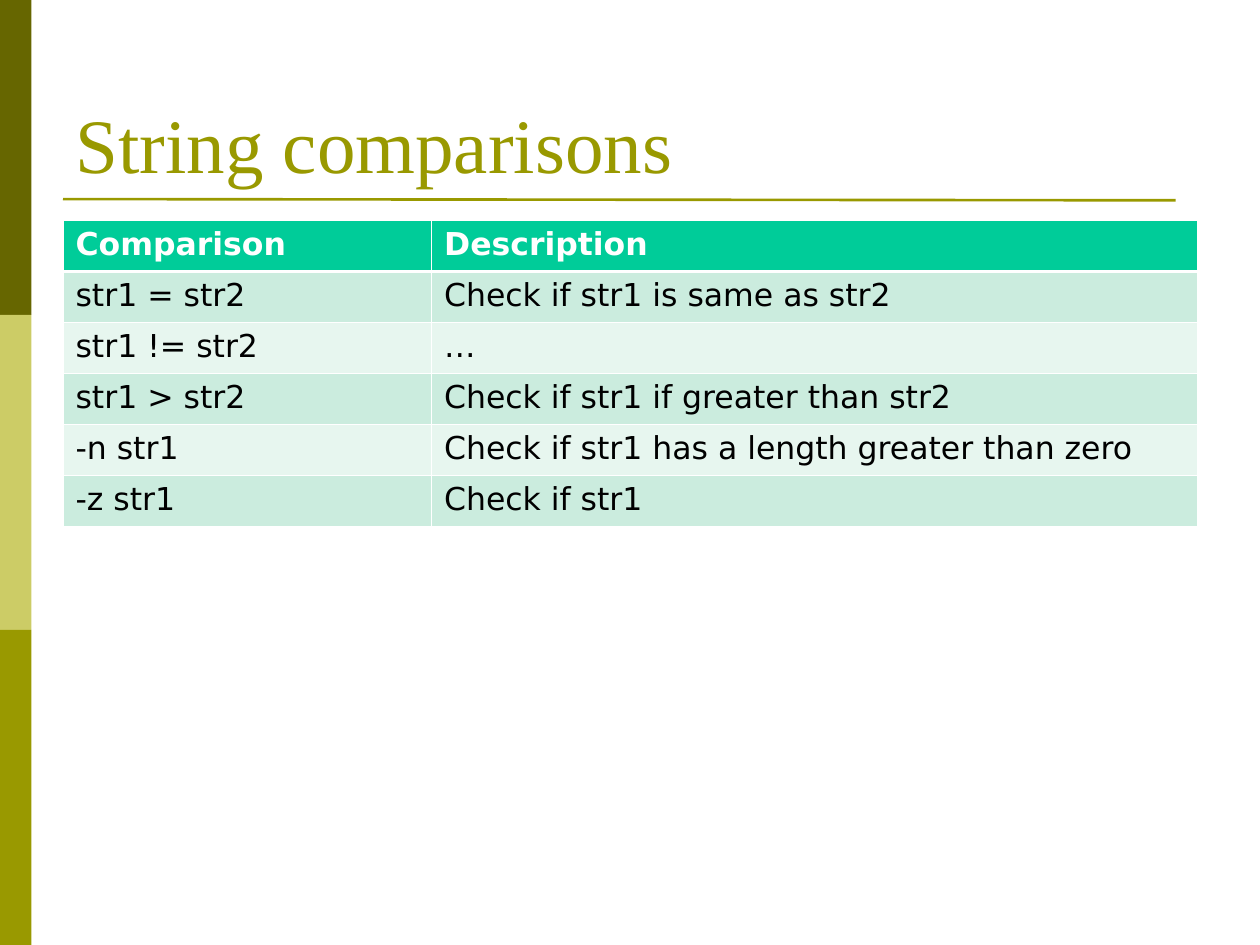
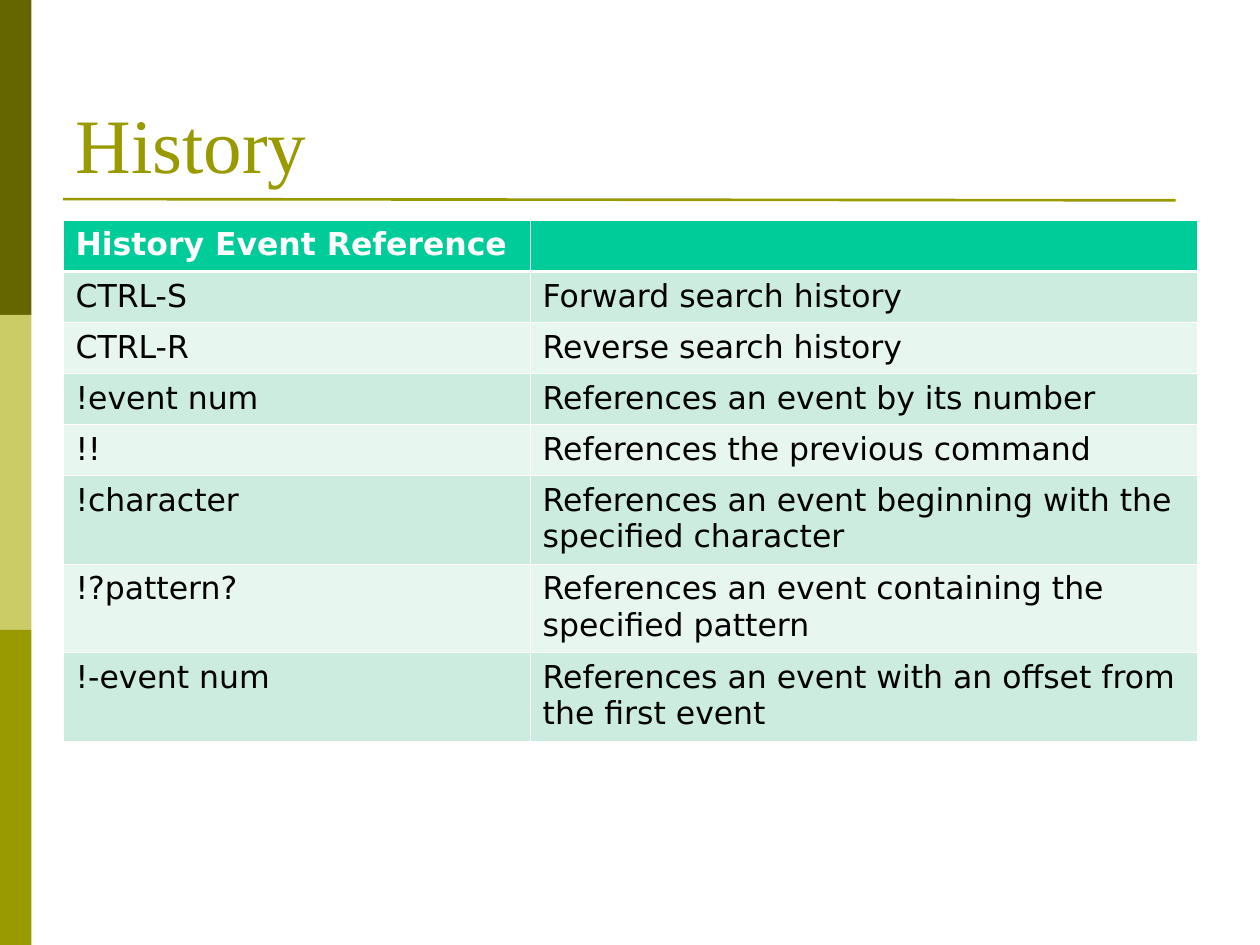
from dataclasses import dataclass

from pptx import Presentation as Deck
from pptx.dml.color import RGBColor as Rgb
from pptx.enum.shapes import MSO_CONNECTOR as Link, MSO_SHAPE as Shape
from pptx.enum.text import MSO_ANCHOR as Anchor, MSO_AUTO_SIZE as Fit, PP_ALIGN as Align
from pptx.oxml.ns import qn
from pptx.util import Inches, Pt
from lxml.etree import SubElement as Sub


@dataclass(frozen=True)
class Theme:
    # Colours
    bands: tuple = ("666600", "CCCC66", "999900")
    title: str = "999900"
    head: str = "00CC99"
    odd: str = "CBECDE"
    even: str = "E7F6EF"
    light: str = "FFFFFF"
    dark: str = "000000"
    # Type
    serif: str = "Times New Roman"
    sans: str = "DejaVu Sans"
    big: int = 44
    body: int = 18
    # Line widths in points
    rule: float = 1.5
    thin: float = 0.45
    thick: float = 1.47


class Page:
    COLS, ROWS = 40, 30
    LEFT, WIDE = 2, 36          # main block, in columns
    TOP = 7                     # top row of the tables
    LINE, STEP = 1.62, 1.19     # height of one text line, and each further one

    def __init__(self, deck, theme):
        self.deck, self.theme = deck, theme
        self.slide = None

    def x(self, cols):
        return round(self.deck.slide_width * cols / self.COLS)

    def y(self, rows):
        return round(self.deck.slide_height * rows / self.ROWS)

    def start(self, title):
        self.slide = self.deck.slides.add_slide(self.deck.slide_layouts[5])
        self.bands()
        self.rule()
        self.title(title)

    def style(self, para, font, size, tint, bold=False):
        para.alignment = Align.LEFT
        for run in para.runs:
            run.font.name, run.font.size, run.font.bold = font, Pt(size), bold
            run.font.color.rgb = Rgb.from_string(tint)

    def bands(self):
        high = self.ROWS / len(self.theme.bands)
        for i, tint in enumerate(self.theme.bands):
            band = self.slide.shapes.add_shape(
                Shape.RECTANGLE, 0, self.y(i * high), self.x(1), self.y(high))
            band.shadow.inherit = False
            band.fill.solid()
            band.fill.fore_color.rgb = Rgb.from_string(tint)
            band.line.fill.background()

    def rule(self):
        line = self.slide.shapes.add_connector(
            Link.STRAIGHT, self.x(self.LEFT), self.y(6.32), self.x(37.32), self.y(6.36))
        line.line.color.rgb = Rgb.from_string(self.theme.title)
        line.line.width = Pt(self.theme.rule)
        Sub(line.element.spPr, qn("a:effectLst"))

    def title(self, text):
        box = self.slide.shapes.title
        box.left, box.top = self.x(self.LEFT), self.y(-0.08)
        box.width, box.height = self.x(self.WIDE), self.y(6.28)
        frame = box.text_frame
        frame.text = text
        frame.word_wrap, frame.auto_size = True, Fit.NONE
        frame.vertical_anchor = Anchor.BOTTOM
        self.style(frame.paragraphs[0], self.theme.serif, self.theme.big, self.theme.title)

    def edges(self, cell, row):
        # Only the line under the header is thick
        thick = {"T": row == 1, "B": row == 0}
        for side in "LRTB":
            width = self.theme.thick if thick.get(side) else self.theme.thin
            line = Sub(cell._tc.get_or_add_tcPr(), qn(f"a:ln{side}"), w=str(int(Pt(width))))
            Sub(Sub(line, qn("a:solidFill")), qn("a:srgbClr"), val=self.theme.light)

    def cell(self, cell, row, text):
        theme, head = self.theme, row == 0
        self.edges(cell, row)
        cell.fill.solid()
        cell.fill.fore_color.rgb = Rgb.from_string(
            theme.head if head else theme.odd if row % 2 else theme.even)
        cell.text_frame.text = text
        self.style(cell.text_frame.paragraphs[0], theme.sans, theme.body,
                   theme.light if head else theme.dark, head)

    def table(self, split, rows, tall=()):
        """Fill a two-column table; rows listed in tall hold two lines."""
        highs = [self.LINE + self.STEP * (r in tall) for r in range(len(rows))]
        grid = self.slide.shapes.add_table(
            len(rows), 2, self.x(self.LEFT), self.y(self.TOP),
            self.x(self.WIDE), self.y(sum(highs))).table
        grid.horz_banding = False
        for col, wide in zip(grid.columns, (split, self.WIDE - split)):
            col.width = self.x(wide)
        for r, (high, texts) in enumerate(zip(highs, rows)):
            grid.rows[r].height = self.y(high)
            for c, text in enumerate(texts):
                self.cell(grid.cell(r, c), r, text)


TESTS = [
    ("Comparison", "Description"),
    ("str1 = str2", "Check if str1 is same as str2"),
    ("str1 != str2", "…"),
    ("str1 > str2", "Check if str1 if greater than str2"),
    ("-n str1", "Check if str1 has a length greater than zero"),
    ("-z str1", "Check if str1"),
]
EVENTS = [
    ("History Event Reference", ""),
    ("CTRL-S", "Forward search history"),
    ("CTRL-R", "Reverse search history"),
    ("!event num", "References an event by its number"),
    ("!!", "References the previous command"),
    ("!character", "References an event beginning with the specified character"),
    ("!?pattern?", "References an event containing the specified pattern"),
    ("!-event num", "References an event with an offset from the first event"),
]


def main():
    deck = Deck()
    deck.slide_width, deck.slide_height = Inches(10), Inches(7.5)
    page = Page(deck, Theme())

    # String tests
    page.start("String comparisons")
    page.table(11.7, TESTS)

    # Shell history
    page.start("History")
    page.table(14.83, EVENTS, tall=(5, 6, 7))

    deck.save("out.pptx")


if __name__ == "__main__":
    main()
